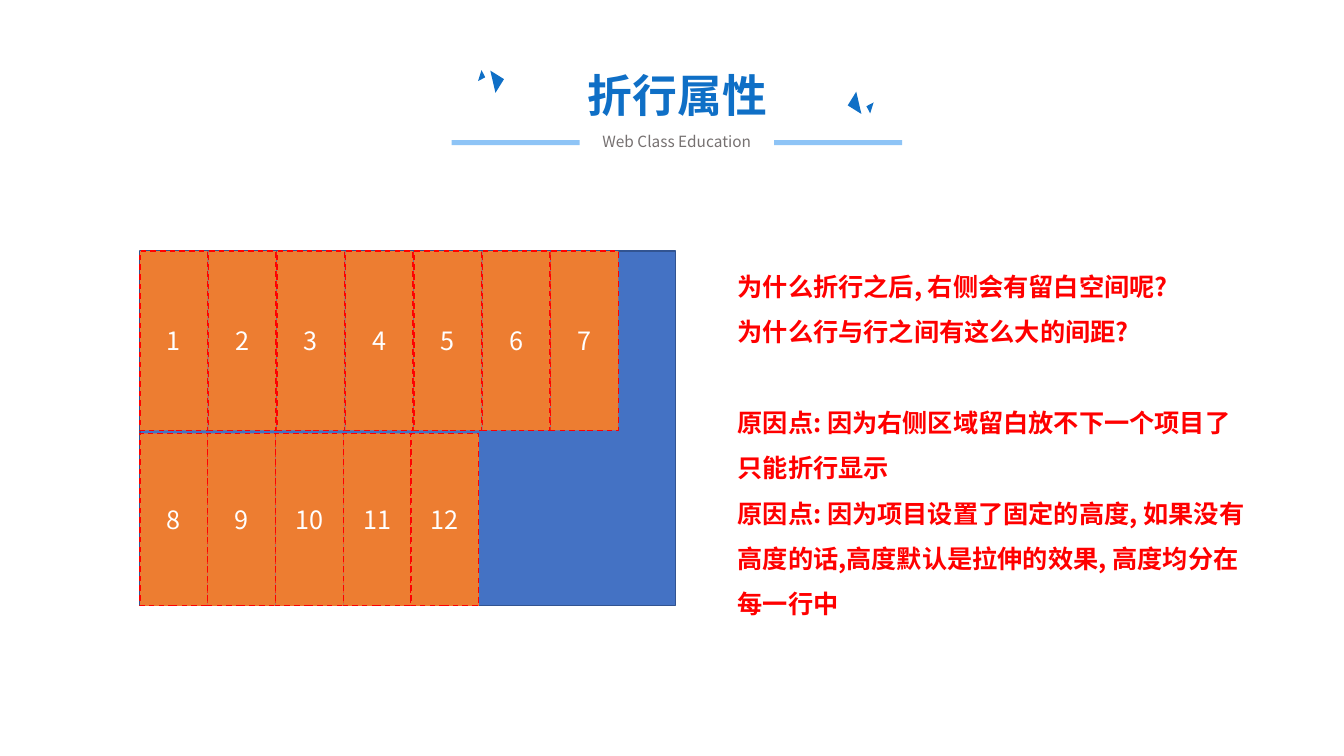
from pptx import Presentation
from pptx.dml.color import RGBColor
from pptx.enum.dml import MSO_LINE
from pptx.enum.shapes import MSO_SHAPE
from pptx.enum.text import MSO_ANCHOR, PP_ALIGN
from pptx.oxml.ns import qn
from pptx.util import Pt

FONT = "Noto Sans CJK SC"
BLUE = RGBColor(0x0F, 0x6F, 0xC6)
SKY = RGBColor(0x8E, 0xC4, 0xF6)
GRAY = RGBColor(0x76, 0x71, 0x71)
RED = RGBColor(0xFF, 0x00, 0x00)
WHITE = RGBColor(0xFF, 0xFF, 0xFF)
ORANGE = RGBColor(0xED, 0x7D, 0x31)
BOX = RGBColor(0x44, 0x72, 0xC4)
EDGE = RGBColor(0x32, 0x54, 0x91)

NOTES = [
    "为什么折行之后, 右侧会有留白空间呢?",
    "为什么行与行之间有这么大的间距?",
    "原因点: 因为右侧区域留白放不下一个项目了只能折行显示",
    "原因点: 因为项目设置了固定的高度, 如果没有高度的话,高度默认是拉伸的效果, 高度均分在每一行中",
]


def style(par, text, size, color, **form):
    run = par.add_run()
    run.text = text
    run.font.color.rgb = color
    for name, value in {"name": FONT, "size": Pt(size), **form}.items():
        setattr(run.font, name, value)
    # East Asian face, next to the Latin one
    face = run.font._element.makeelement(qn("a:ea"), {"typeface": FONT})
    run.font._element.find(qn("a:latin")).addnext(face)


def add_block(slide, kind, place, fill, line=None, turn=0):
    shape = slide.shapes.add_shape(kind, *map(Pt, place))
    shape.shadow.inherit = False
    shape.rotation = turn
    shape.fill.solid()
    shape.fill.fore_color.rgb = fill
    if line is None:
        shape.line.fill.background()
    else:
        shape.line.color.rgb = line
        shape.line.width = Pt(1)
    return shape


def add_item(slide, place, label):
    shape = add_block(slide, MSO_SHAPE.RECTANGLE, place, ORANGE, RED)
    shape.line.dash_style = MSO_LINE.DASH
    frame = shape.text_frame
    frame.vertical_anchor = MSO_ANCHOR.MIDDLE
    par = frame.paragraphs[0]
    par.alignment = PP_ALIGN.CENTER
    style(par, label, 18, WHITE)


def add_label(slide, place, text, size, color, **form):
    frame = slide.shapes.add_textbox(*map(Pt, place)).text_frame
    frame.word_wrap = False
    par = frame.paragraphs[0]
    par.alignment = PP_ALIGN.CENTER
    style(par, text, size, color, **form)


def add_notes(slide, place, lines):
    frame = slide.shapes.add_textbox(*map(Pt, place)).text_frame
    frame.word_wrap = True
    for i, text in enumerate(lines):
        par = frame.paragraphs[0] if i == 0 else frame.add_paragraph()
        par.line_spacing = 1.5
        # The reasons start one line below the questions
        if i == 2:
            par.space_before = Pt(32.4)
        style(par, text, 18, RED, bold=True)


def main():
    deck = Presentation()
    deck.slide_width, deck.slide_height = Pt(960), Pt(540)
    slide = deck.slides.add_slide(deck.slide_layouts[6])

    # Triangles on both sides of the title
    for left, top, side, turn in [
        (346.3, 52.6, 11.5, 211.9), (339.8, 51.1, 5.8, 242.5),
        (607.7, 67.7, 11.5, 31.9), (619.9, 74.2, 5.8, 62.5),
    ]:
        add_block(slide, MSO_SHAPE.RIGHT_TRIANGLE,
                  (left, top, side, side), BLUE, turn=turn)

    # Title, subtitle and bars
    add_label(slide, (412.6, 44.6, 142.6, 46.1), "折行属性", 32, BLUE, bold=True)
    add_label(slide, (419, 90.7, 128.9, 20.9), "Web Class Education", 11, GRAY)
    for left in (322.6, 553):
        add_block(slide, MSO_SHAPE.RECTANGLE, (left, 100.1, 91.4, 3.6), SKY)

    # Container with two rows of items
    add_block(slide, MSO_SHAPE.RECTANGLE, (100, 179.3, 382.3, 253.4), BOX, EDGE)
    for first, count, top, height, step in [
        (1, 7, 179.3, 128.2, 48.9), (8, 5, 309.6, 123.1, 48.4),
    ]:
        for i in range(count):
            add_item(slide, (100 + i * step, top, 48.4, height), str(first + i))

    # Questions and reasons
    add_notes(slide, (519.8, 179.3, 378, 268.6), NOTES)

    deck.save("out.pptx")


if __name__ == "__main__":
    main()
